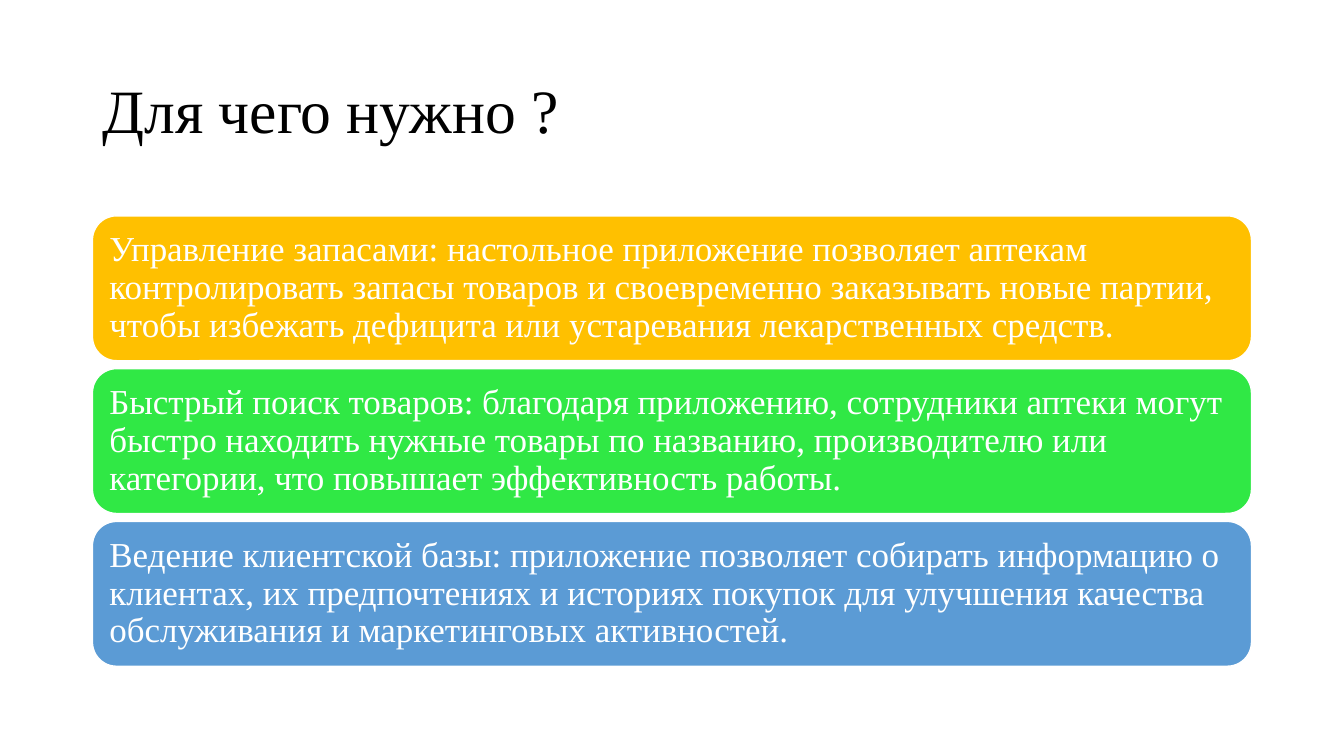
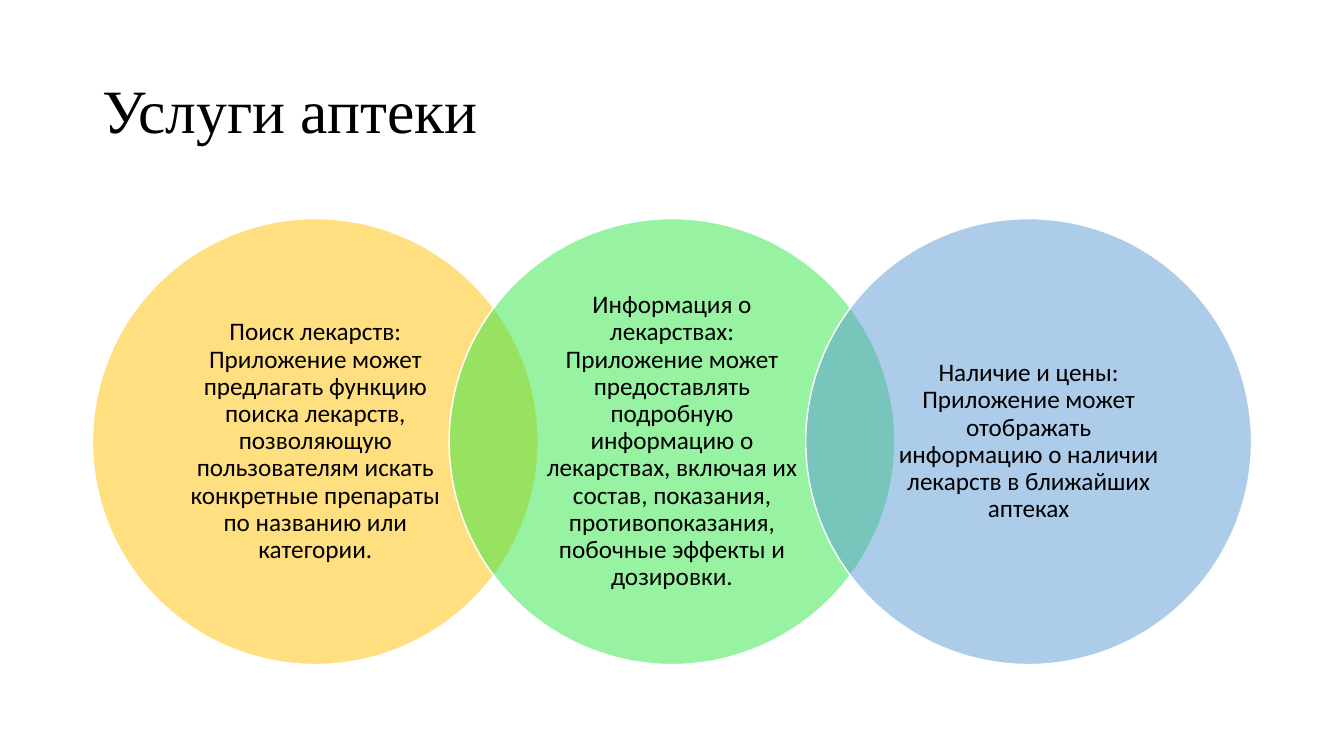
from dataclasses import dataclass

from lxml.etree import SubElement
from pptx import Presentation
from pptx.dml.color import RGBColor
from pptx.enum.shapes import MSO_SHAPE
from pptx.enum.text import MSO_ANCHOR, MSO_AUTO_SIZE, PP_ALIGN
from pptx.oxml.ns import qn
from pptx.util import Cm, Pt

ROUND, OVAL = MSO_SHAPE.ROUNDED_RECTANGLE, MSO_SHAPE.OVAL
LEFT, CENTER = PP_ALIGN.LEFT, PP_ALIGN.CENTER
MIDDLE = MSO_ANCHOR.MIDDLE
FIXED = MSO_AUTO_SIZE.NONE
TITLE_ONLY = 5


@dataclass(frozen=True)
class Theme:
    """Colours, fonts, type sizes and the shared column (in cm)."""
    dark: str = "000000"
    light: str = "FFFFFF"
    hues: tuple = ("FFC000", "30E845", "5B9BD5")
    serif: str = "Times New Roman"
    sans: str = "Calibri"
    head: int = 44
    large: int = 25
    small: int = 18
    left: float = 2.33
    width: float = 29.21


def write(shape, text, *, font, size, color, align=LEFT, pad=(0.25, 0.13)):
    """Put one formatted paragraph into a shape; pad is across, down in cm."""
    frame = shape.text_frame
    frame.word_wrap = True
    frame.auto_size = FIXED
    frame.vertical_anchor = MIDDLE
    frame.margin_left = frame.margin_right = Cm(pad[0])
    frame.margin_top = frame.margin_bottom = Cm(pad[1])
    frame.text = text
    para = frame.paragraphs[0]
    para.alignment = align
    para.line_spacing = 0.9
    para.space_before = Pt(0)
    face = para.runs[0].font
    face.name, face.size = font, Pt(size)
    face.color.rgb = RGBColor.from_string(color)


class Deck:
    """Holds the theme and the current slide."""

    def __init__(self, theme):
        """Open an empty wide deck."""
        self.theme = theme
        self.show = Presentation()
        self.show.slide_width, self.show.slide_height = Cm(33.87), Cm(19.05)
        self.slide = None

    def page(self, title):
        """Start a slide with its title."""
        look = self.theme
        layout = self.show.slide_layouts[TITLE_ONLY]
        self.slide = self.show.slides.add_slide(layout)
        head = self.slide.shapes.title
        head.left, head.top = Cm(look.left), Cm(1.01)
        head.width, head.height = Cm(look.width), Cm(3.68)
        write(head, title, font=look.serif, size=look.head, color=look.dark)

    def block(self, kind, box, fill, alpha=100):
        """Add a white-edged shape, see-through when alpha is under 100."""
        shape = self.slide.shapes.add_shape(kind, *map(Cm, box))
        shape.shadow.inherit = False
        shape.fill.solid()
        shape.fill.fore_color.rgb = RGBColor.from_string(fill)
        shape.line.color.rgb = RGBColor.from_string(self.theme.light)
        shape.line.width = Pt(1)
        if alpha < 100:
            tint = shape.element.spPr.find(qn("a:solidFill"))[0]
            SubElement(tint, qn("a:alpha"), val=str(alpha * 1000))
        return shape

    def bars(self, texts, top=5.44, height=3.65, gap=0.2):
        """Stack one full-width rounded bar for each text."""
        look = self.theme
        for row, (text, hue) in enumerate(zip(texts, look.hues)):
            box = look.left, top + row * (height + gap), look.width, height
            write(self.block(ROUND, box, hue), text, font=look.serif,
                  size=look.large, color=look.light, pad=(0.25, 0.25))

    def rings(self, texts, top=5.51, step=0.8):
        """Fill the column with circles that overlap; step is in diameters."""
        look = self.theme
        size = look.width / (1 + step * (len(texts) - 1))
        for col, (text, hue) in enumerate(zip(texts, look.hues)):
            box = look.left + col * step * size, top, size, size
            write(self.block(OVAL, box, hue, alpha=50), text, font=look.sans,
                  size=look.small, color=look.dark, align=CENTER,
                  pad=(0.61, 0.08))


deck = Deck(Theme())

deck.page("Для чего нужно ?")
deck.bars([
    "Управление запасами: настольное приложение позволяет аптекам "
    "контролировать запасы товаров и своевременно заказывать новые партии, "
    "чтобы избежать дефицита или устаревания лекарственных средств.",
    "Быстрый поиск товаров: благодаря приложению, сотрудники аптеки могут "
    "быстро находить нужные товары по названию, производителю или "
    "категории, что повышает эффективность работы.",
    "Ведение клиентской базы: приложение позволяет собирать информацию о "
    "клиентах, их предпочтениях и историях покупок для улучшения качества "
    "обслуживания и маркетинговых активностей.",
])

deck.page("Услуги аптеки")
deck.rings([
    "Поиск лекарств: Приложение может предлагать функцию поиска лекарств, "
    "позволяющую пользователям искать конкретные препараты по названию или "
    "категории.",
    "Информация о лекарствах: Приложение может предоставлять подробную "
    "информацию о лекарствах, включая их состав, показания, "
    "противопоказания, побочные эффекты и дозировки.",
    "Наличие и цены: Приложение может отображать информацию о наличии "
    "лекарств в ближайших аптеках",
])

deck.show.save("out.pptx")
